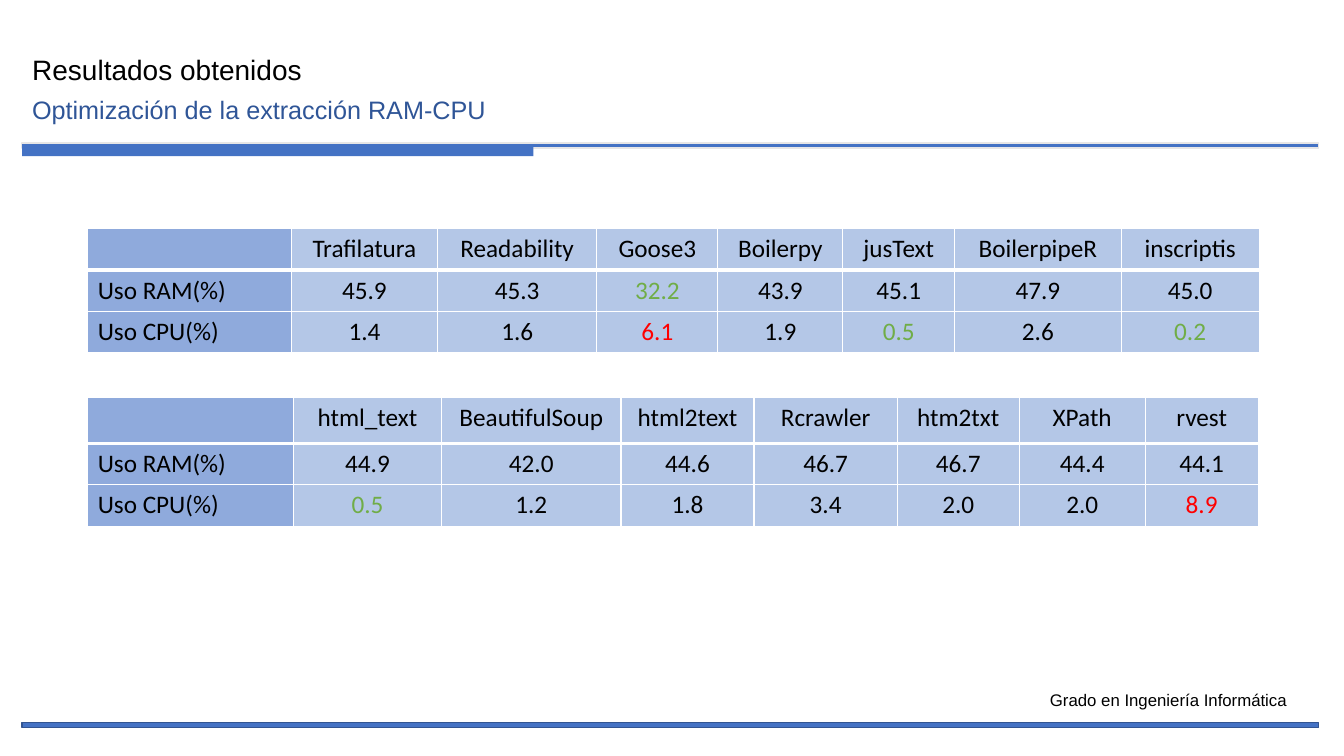
"""Build the slide with RAM and CPU usage of the text extraction libraries."""
from lxml import etree
from pptx import Presentation
from pptx.dml.color import RGBColor
from pptx.enum.shapes import MSO_SHAPE
from pptx.enum.text import MSO_ANCHOR, MSO_AUTO_SIZE, PP_ALIGN
from pptx.oxml.ns import qn
from pptx.util import Inches, Pt

RECTANGLE = MSO_SHAPE.RECTANGLE
LEFT, CENTER = PP_ALIGN.LEFT, PP_ALIGN.CENTER
TOP = MSO_ANCHOR.TOP
FIT_SHAPE = MSO_AUTO_SIZE.SHAPE_TO_FIT_TEXT

BLACK = RGBColor(0x00, 0x00, 0x00)
WHITE = RGBColor(0xFF, 0xFF, 0xFF)
BLUE = RGBColor(0x44, 0x72, 0xC4)
DARK_BLUE = RGBColor(0x32, 0x54, 0x91)
SUBTITLE_BLUE = RGBColor(0x2F, 0x55, 0x97)
LABEL_BLUE = RGBColor(0x8F, 0xAA, 0xDC)
CELL_BLUE = RGBColor(0xB4, 0xC7, 0xE7)
LIGHT_GRAY = RGBColor(0xE7, 0xE6, 0xE6)
GREEN = RGBColor(0x70, 0xAD, 0x47)
RED = RGBColor(0xFF, 0x00, 0x00)

FIRST_TABLE = [
    ["", "Trafilatura", "Readability", "Goose3", "Boilerpy", "jusText", "BoilerpipeR", "inscriptis"],
    ["Uso RAM(%)", "45.9", "45.3", "32.2", "43.9", "45.1", "47.9", "45.0"],
    ["Uso CPU(%)", "1.4", "1.6", "6.1", "1.9", "0.5", "2.6", "0.2"],
]
FIRST_WIDTHS = [2.02, 1.45, 1.58, 1.2, 1.24, 1.11, 1.65, 1.37]
FIRST_HIGHLIGHTS = {(1, 3): GREEN, (2, 3): RED, (2, 5): GREEN, (2, 7): GREEN}

SECOND_TABLE = [
    ["", "html_text", "BeautifulSoup", "html2text", "Rcrawler", "htm2txt", "XPath", "rvest"],
    ["Uso RAM(%)", "44.9", "42.0", "44.6", "46.7", "46.7", "44.4", "44.1"],
    ["Uso CPU(%)", "0.5", "1.2", "1.8", "3.4", "2.0", "2.0", "8.9"],
]
SECOND_WIDTHS = [2.04, 1.47, 1.78, 1.32, 1.42, 1.21, 1.25, 1.12]
SECOND_HIGHLIGHTS = {(2, 1): GREEN, (2, 7): RED}


def add_bar(slide, top, width, height, line_color=None):
    """Add a blue bar that starts at the left margin."""
    shape = slide.shapes.add_shape(
        RECTANGLE, Inches(0.22), Inches(top), Inches(width), Inches(height))
    shape.shadow.inherit = False
    shape.fill.solid()
    shape.fill.fore_color.rgb = BLUE
    if line_color is None:
        shape.line.fill.background()
    else:
        shape.line.color.rgb = line_color
        shape.line.width = Pt(1)


def write_run(paragraph, text, font_name, size, color, alignment):
    """Add one formatted run to an aligned paragraph."""
    paragraph.alignment = alignment
    run = paragraph.add_run()
    run.text = text
    run.font.name = font_name
    run.font.size = Pt(size)
    run.font.color.rgb = color


def add_text(slide, text, left, top, width, height, size, color, alignment=LEFT):
    """Add a wrapping text box with one line of Arial text."""
    box = slide.shapes.add_textbox(
        Inches(left), Inches(top), Inches(width), Inches(height))
    frame = box.text_frame
    frame.word_wrap = True
    frame.auto_size = FIT_SHAPE
    write_run(frame.paragraphs[0], text, "Arial", size, color, alignment)


def set_borders(cell, top, bottom):
    """Give a cell white borders with the given top and bottom widths."""
    properties = cell._tc.get_or_add_tcPr()
    for tag, width in (("a:lnL", 1), ("a:lnR", 1), ("a:lnT", top), ("a:lnB", bottom)):
        border = etree.SubElement(properties, qn(tag), w=str(Pt(width)))
        fill = etree.SubElement(border, qn("a:solidFill"))
        etree.SubElement(fill, qn("a:srgbClr"), val=str(WHITE))


def add_usage_table(slide, top, rows, widths, header_height, highlights):
    """Add a usage table with highlighted best and worst values."""
    heights = [header_height, 0.41, 0.41]
    table = slide.shapes.add_table(
        len(rows), len(widths), Inches(0.87), Inches(top),
        Inches(sum(widths)), Inches(sum(heights))).table
    for column, width in zip(table.columns, widths):
        column.width = Inches(width)
    for row, height in zip(table.rows, heights):
        row.height = Inches(height)
    for row_index, values in enumerate(rows):
        for column_index, value in enumerate(values):
            cell = table.cell(row_index, column_index)
            set_borders(cell, 3 if row_index == 1 else 1, 3 if row_index == 0 else 1)
            cell.fill.solid()
            cell.fill.fore_color.rgb = CELL_BLUE if column_index else LABEL_BLUE
            cell.vertical_anchor = TOP
            if value:
                color = highlights.get((row_index, column_index), BLACK)
                alignment = CENTER if column_index else LEFT
                write_run(cell.text_frame.paragraphs[0], value, "Calibri", 18, color, alignment)


def main():
    """Build and save the slide."""
    presentation = Presentation()
    presentation.slide_width = Inches(13.33)
    presentation.slide_height = Inches(7.5)
    slide = presentation.slides.add_slide(presentation.slide_layouts[6])

    add_bar(slide, 1.42, 12.86, 0.05, LIGHT_GRAY)
    add_bar(slide, 1.43, 5.07, 0.12)
    add_bar(slide, 7.17, 12.86, 0.05, DARK_BLUE)
    add_text(slide, "Grado en Ingeniería Informática", 10.25, 6.79, 2.68, 0.3, 12, BLACK, CENTER)
    add_text(slide, "Resultados obtenidos", 0.22, 0.47, 6.02, 0.44, 20, BLACK)
    add_text(slide, "Optimización de la extracción RAM-CPU", 0.22, 0.89, 4.84, 0.4, 18, SUBTITLE_BLUE)
    add_usage_table(slide, 2.27, FIRST_TABLE, FIRST_WIDTHS, 0.41, FIRST_HIGHLIGHTS)
    add_usage_table(slide, 3.94, SECOND_TABLE, SECOND_WIDTHS, 0.46, SECOND_HIGHLIGHTS)

    presentation.save("out.pptx")


if __name__ == "__main__":
    main()
